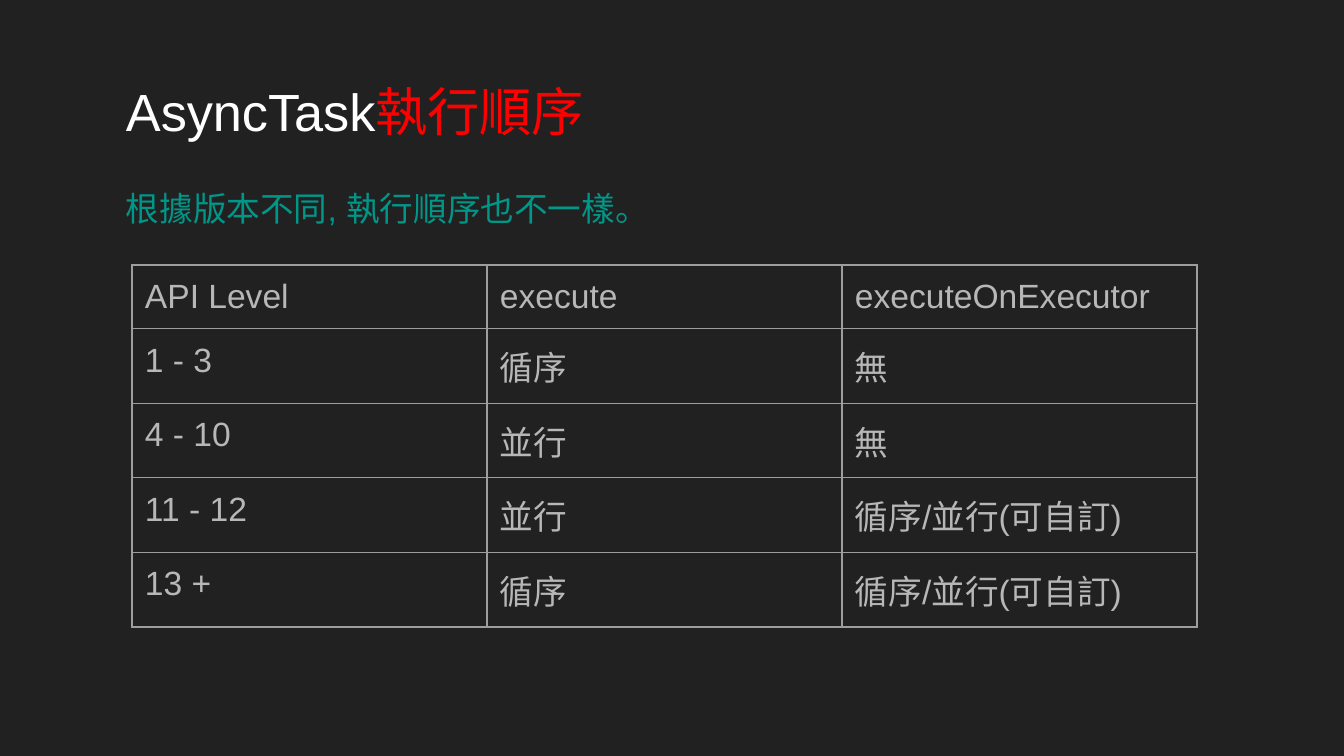
from lxml.etree import SubElement
from pptx import Presentation
from pptx.dml.color import RGBColor
from pptx.enum.text import MSO_ANCHOR, MSO_AUTO_SIZE, PP_ALIGN
from pptx.oxml.ns import qn
from pptx.util import Pt

EMU_PER_PX = 914400 / 134.4
INSET = 13
FIRST_LINE_INDENT = 67
ROWS = [
    ("API Level", "execute", "executeOnExecutor"),
    ("1 - 3", "循序", "無"),
    ("4 - 10", "並行", "無"),
    ("11 - 12", "並行", "循序/並行(可自訂)"),
    ("13 +", "循序", "循序/並行(可自訂)"),
]


def px(length):
    """Turn pixels into EMU."""
    return round(length * EMU_PER_PX)


def color(value):
    """Turn a hex string into a colour."""
    return RGBColor.from_string(value)


def add_text(paragraph, text, *, size=18, fill="B7B7B7", font="Arial"):
    """Add a formatted run to a paragraph."""
    run = paragraph.add_run()
    run.text = text
    run.font.name = font
    run.font.size = Pt(size)
    run.font.color.rgb = color(fill)


def set_margins(target):
    """Give a text frame or a table cell equal margins."""
    target.margin_left = target.margin_right = px(INSET)
    target.margin_top = target.margin_bottom = px(INSET)


def prepare_paragraph(shape):
    """Set up a shape's text frame and return its indented first paragraph."""
    frame = shape.text_frame
    set_margins(frame)
    frame.word_wrap = True
    frame.auto_size = MSO_AUTO_SIZE.NONE
    frame.vertical_anchor = MSO_ANCHOR.TOP
    paragraph = frame.paragraphs[0]
    paragraph.alignment = PP_ALIGN.LEFT
    properties = paragraph._p.get_or_add_pPr()
    properties.set("marL", "0")
    properties.set("indent", str(px(FIRST_LINE_INDENT)))
    return paragraph


def add_title(slide):
    """Place the title and write it in two colours."""
    title = slide.shapes.title
    title.left, title.top, title.width, title.height = map(px, (46, 66, 1253, 85))
    paragraph = prepare_paragraph(title)
    add_text(paragraph, "AsyncTask", size=28, fill="FFFFFF")
    add_text(paragraph, "執行順序", size=28, fill="FF0000")


def add_body(slide):
    """Add the sentence above the table."""
    body = slide.shapes.add_textbox(*map(px, (46, 169, 1253, 503)))
    paragraph = prepare_paragraph(body)
    paragraph.line_spacing = 1.15
    paragraph.space_after = Pt(16)
    add_text(paragraph, "根據版本不同, 執行順序也不一樣。", fill="009688")


def set_borders(cell, fill="9E9E9E", width=0.75):
    """Draw a solid line on all four sides of a cell."""
    properties = cell._tc.get_or_add_tcPr()
    for side in ("a:lnL", "a:lnR", "a:lnT", "a:lnB"):
        line = SubElement(properties, qn(side), w=str(Pt(width)))
        solid = SubElement(line, qn("a:solidFill"))
        SubElement(solid, qn("a:srgbClr"), val=fill)


def add_order_table(slide):
    """Add the table of execution order by API level."""
    frame = slide.shapes.add_table(
        len(ROWS), len(ROWS[0]), *map(px, (132, 265, 1065, 56 * len(ROWS)))
    )
    table = frame.table
    table.first_row = table.horz_banding = False
    for row_index, row in enumerate(ROWS):
        for column_index, text in enumerate(row):
            cell = table.cell(row_index, column_index)
            set_margins(cell)
            set_borders(cell)
            cell.fill.background()
            add_text(cell.text_frame.paragraphs[0], text)


def main():
    """Build the slide and save it."""
    presentation = Presentation()
    presentation.slide_width, presentation.slide_height = px(1344), px(756)
    slide = presentation.slides.add_slide(presentation.slide_layouts[5])
    slide.background.fill.solid()
    slide.background.fill.fore_color.rgb = color("212121")
    add_title(slide)
    add_body(slide)
    add_order_table(slide)
    presentation.save("out.pptx")


if __name__ == "__main__":
    main()
